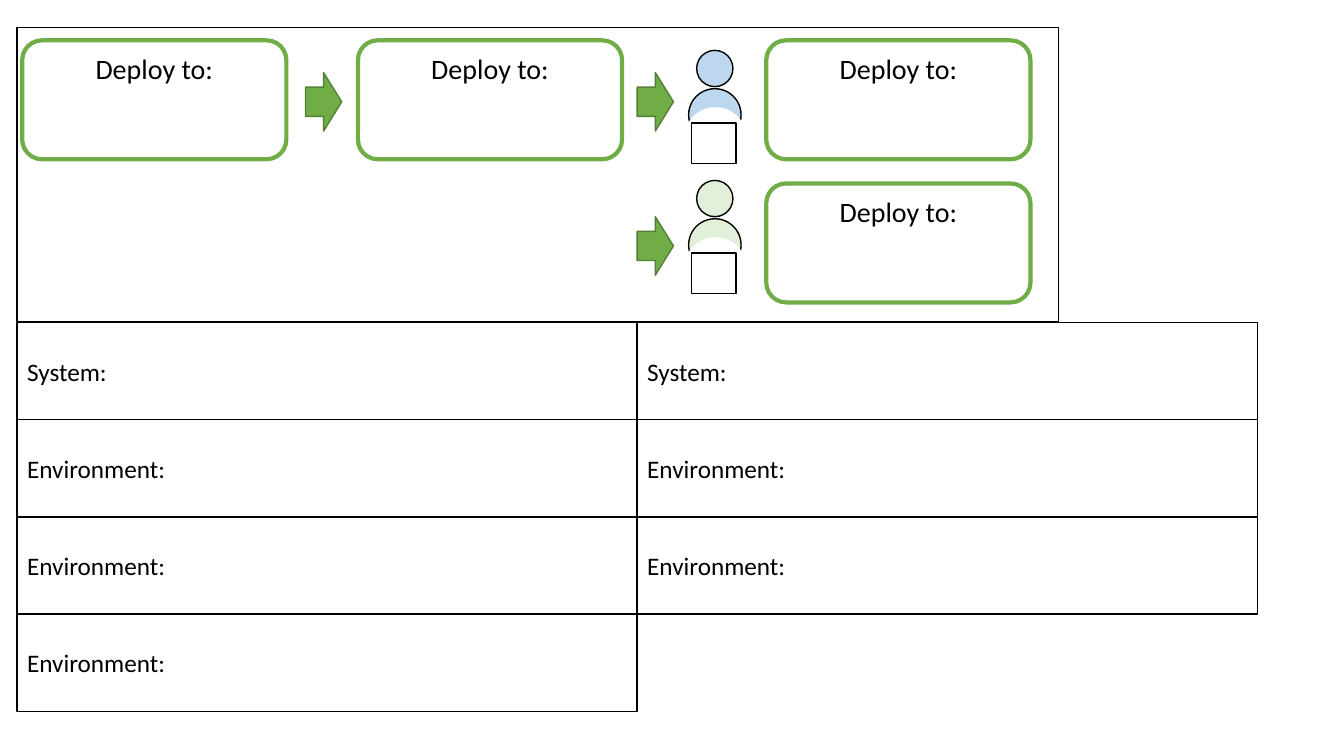
from pptx import Presentation
from pptx.dml.color import RGBColor
from pptx.enum.shapes import MSO_SHAPE
from pptx.enum.text import MSO_ANCHOR, PP_ALIGN
from pptx.util import Inches, Pt

CELL = 0.1
BLACK, WHITE = "000000", "FFFFFF"
GREEN, DARK_GREEN = "70AD47", "538035"
PALE_BLUE, PALE_GREEN = "BDD7EE", "E2F0D9"


def color(value):
    return RGBColor.from_string(value)


class DeploymentSlide:
    font_name = "Calibri"

    def __init__(self, presentation):
        self.slide = presentation.slides.add_slide(presentation.slide_layouts[6])

    def add_shape(self, kind, column, row, columns, rows, fill=WHITE, line=BLACK,
                  width=1, shapes=None):
        lengths = [Inches(cells * CELL) for cells in (column, row, columns, rows)]
        shape = (shapes or self.slide.shapes).add_shape(kind, *lengths)
        shape.shadow.inherit = False
        if fill:
            shape.fill.solid()
            shape.fill.fore_color.rgb = color(fill)
        else:
            shape.fill.background()
        shape.line.color.rgb = color(line)
        shape.line.width = Pt(width)
        return shape

    def set_text(self, shape, text, size, align, anchor):
        frame = shape.text_frame
        frame.word_wrap = True
        frame.vertical_anchor = anchor
        paragraph = frame.paragraphs[0]
        paragraph.text = text
        paragraph.alignment = align
        paragraph.font.name = self.font_name
        paragraph.font.size = Pt(size)
        paragraph.font.color.rgb = color(BLACK)

    def add_label_box(self, column, row, text):
        box = self.add_shape(MSO_SHAPE.RECTANGLE, column, row, 61.5, 9.64)
        self.set_text(box, text, 18, PP_ALIGN.LEFT, MSO_ANCHOR.MIDDLE)

    def add_deploy_box(self, column, row):
        box = self.add_shape(MSO_SHAPE.ROUNDED_RECTANGLE, column, row, 26.2, 11.8,
                             line=GREEN, width=3)
        self.set_text(box, "Deploy to:", 20, PP_ALIGN.CENTER, MSO_ANCHOR.TOP)

    def add_arrow(self, column, row):
        self.add_shape(MSO_SHAPE.RIGHT_ARROW, column, row, 3.6, 5.8, GREEN, DARK_GREEN)

    def add_frame(self, column, row, columns, rows):
        self.add_shape(MSO_SHAPE.RECTANGLE, column, row, columns, rows, fill=None)

    def add_approver(self, column, row, fill):
        shapes = self.slide.shapes.add_group_shape().shapes
        parts = [
            (MSO_SHAPE.OVAL, 1.2, 0, 3.6, 3.6, fill, BLACK),
            (MSO_SHAPE.OVAL, 0.4, 3.8, 5.2, 5.2, fill, BLACK),
            (MSO_SHAPE.OVAL, 0, 5.7, 6.1, 6.1, WHITE, WHITE),
            (MSO_SHAPE.RECTANGLE, 0.7, 7.2, 4.4, 4, WHITE, BLACK),
        ]
        for kind, across, down, columns, rows, part_fill, line in parts:
            self.add_shape(kind, column + across, row + down, columns, rows,
                           part_fill, line, shapes=shapes)


def main():
    presentation = Presentation()
    presentation.slide_width = Inches(13.33)
    presentation.slide_height = Inches(7.5)
    board = DeploymentSlide(presentation)

    left_labels = ["System:"] + ["Environment:"] * 3
    for column, labels in ((1.7, left_labels), (63.2, left_labels[:3])):
        for index, label in enumerate(labels):
            board.add_label_box(column, 32 + index * 9.64, label)

    for column, row in ((2.2, 4), (35.5, 4), (76, 4), (76, 18.2)):
        board.add_deploy_box(column, row)
    for column, row in ((30.3, 7.2), (63.2, 7.2), (63.2, 21.5)):
        board.add_arrow(column, row)
    board.add_frame(1.7, 2.7, 103.3, 29.2)
    for row, fill in ((5, PALE_BLUE), (17.9, PALE_GREEN)):
        board.add_approver(67.9, row, fill)

    presentation.save("out.pptx")


if __name__ == "__main__":
    main()
